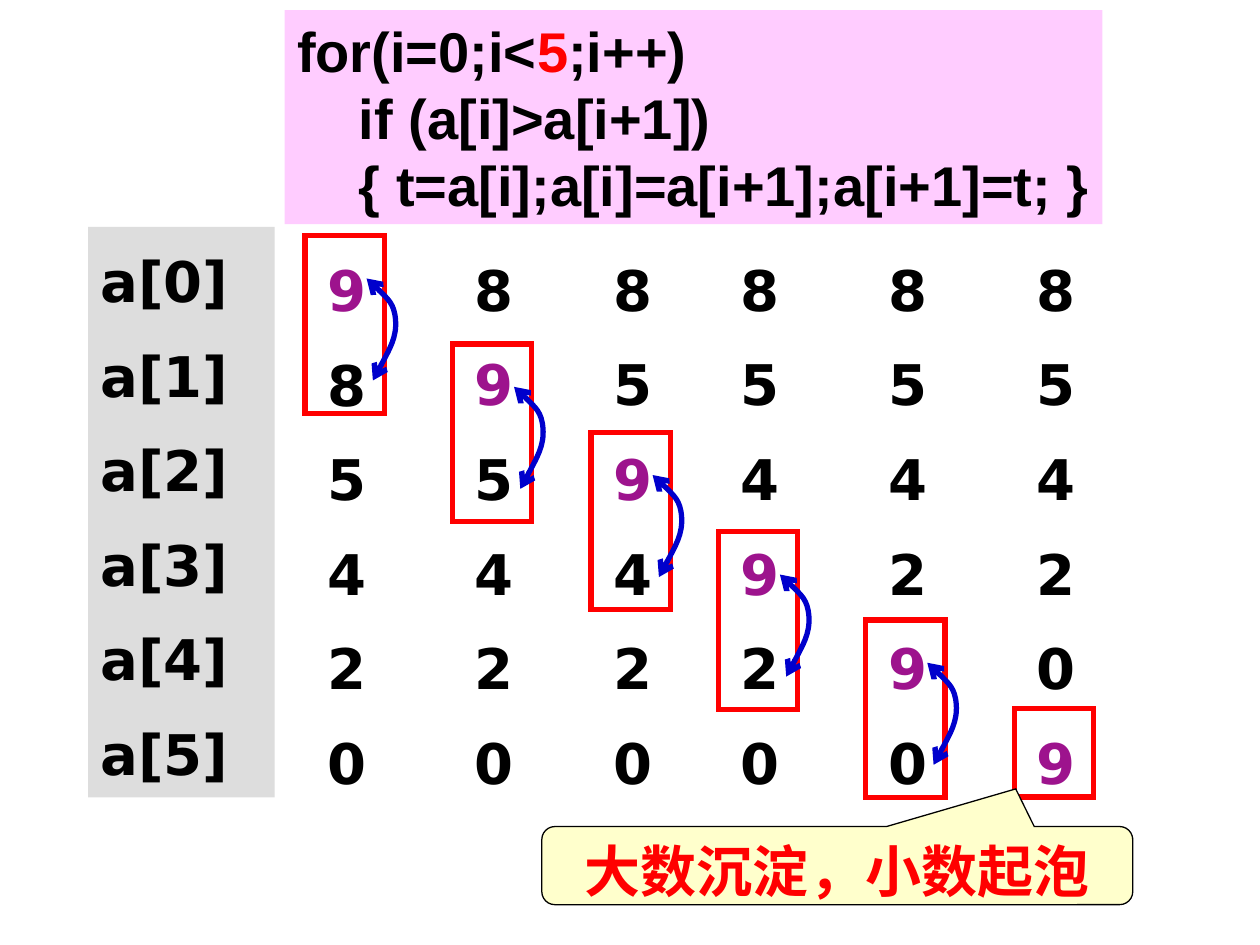
from pptx import Presentation
from pptx.dml.color import RGBColor
from pptx.enum.shapes import MSO_SHAPE
from pptx.enum.text import MSO_ANCHOR, MSO_AUTO_SIZE, PP_ALIGN
from pptx.oxml.ns import qn
from pptx.util import Inches, Pt
from lxml import etree

RECTANGLE = MSO_SHAPE.RECTANGLE
PROCESS = MSO_SHAPE.FLOWCHART_PROCESS
CALLOUT = MSO_SHAPE.ROUNDED_RECTANGULAR_CALLOUT
LEFT, CENTER = PP_ALIGN.LEFT, PP_ALIGN.CENTER
TOP, NO_RESIZE = MSO_ANCHOR.TOP, MSO_AUTO_SIZE.NONE

THEME = {
    "ink": "000000", "bubble": "9D138D", "alert": "FF0000", "swap": "0000CC",
    "code_fill": "FFCCFF", "label_fill": "DDDDDD", "note_fill": "FFFFCC",
    "code_font": "Arial", "array_font": "DejaVu Sans",
    "size": 32, "heavy": 3, "thin": 0.75,
}

VALUES = [9, 8, 5, 4, 2, 0]
CODE = [
    (0, [("for(i=0;i<", "ink"), ("5", "alert"), (";i++)", "ink")]),
    (0.49, [("if (a[i]>a[i+1])", "ink")]),
    (0.49, [("{ t=a[i];a[i]=a[i+1];a[i+1]=t; }", "ink")]),
]
NOTE = "大数沉淀，小数起泡"

COLUMN_LEFTS = [2.5, 3.67, 4.77, 5.78, 6.95, 8.13]
FRAME_TOPS = [1.87, 2.73, 3.43, 4.22, 4.92, 5.62]
COLUMN_TOP, COLUMN_WIDTH, COLUMN_HEIGHT = 1.87, 0.78, 4.53
FRAME_SHIFT, FRAME_WIDTH, PAIR_HEIGHT = -0.08, 0.63, 1.41
SWAP_SHIFT = (0.41, 0.34)
SWAP_CURVE = [(0.05, 0.81), (0.14, 0.64), (0.24, 0.47), (0.23, 0.33),
              (0.22, 0.2), (0.11, 0.1), (0, 0)]

ARRAY_FORMAT = {"line_spacing": 1.2, "space_before": Pt(8), "alignment": LEFT}
CODE_FORMAT = {"line_spacing": 1.0, "space_before": Pt(0), "alignment": LEFT}
NOTE_FORMAT = {"space_before": Pt(0), "alignment": CENTER}
FRAME_FORMAT = {
    "margin_left": Inches(0.1), "margin_right": Inches(0.1),
    "margin_top": Inches(0.05), "margin_bottom": Inches(0.05),
    "vertical_anchor": TOP, "auto_size": NO_RESIZE,
}


def apply(target, values):
    for name, value in values.items():
        setattr(target, name, value)


def color(name):
    return RGBColor.from_string(THEME[name])


def place(shape, left, top, width, height):
    apply(shape, {"left": Inches(left), "top": Inches(top),
                  "width": Inches(width), "height": Inches(height)})


def write(shape, lines, font, para_format, hanging=0, wrap=True):
    frame = shape.text_frame
    apply(frame, {**FRAME_FORMAT, "word_wrap": wrap})
    for index, (margin, spans) in enumerate(lines):
        para = frame.paragraphs[0] if index == 0 else frame.add_paragraph()
        apply(para, para_format)
        properties = para._p.get_or_add_pPr()
        properties.set("marL", str(Inches(margin)))
        properties.set("indent", str(Inches(-hanging)))
        etree.SubElement(properties, qn("a:buNone"))
        for text, tint in spans:
            span = para.add_run()
            span.text = text
            apply(span.font, {"name": THEME[font], "size": Pt(THEME["size"]), "bold": True})
            span.font.color.rgb = color(tint)


def style(shape, fill=None, line=None, weight="heavy"):
    shape.shadow.inherit = False
    if fill:
        shape.fill.solid()
        shape.fill.fore_color.rgb = color(fill)
    else:
        shape.fill.background()
    if line:
        shape.line.color.rgb = color(line)
        shape.line.width = Pt(THEME[weight])
        etree.SubElement(shape.line._get_or_add_ln(), qn("a:miter"), lim="800000")
    else:
        shape.line.fill.background()


def add_block(page, kind, area, **look):
    shape = page.shapes.add_shape(kind, *map(Inches, area))
    style(shape, **look)
    return shape


def add_swap_arrow(page, left, top):
    points = [(Inches(left + x), Inches(top + y)) for x, y in SWAP_CURVE]
    builder = page.shapes.build_freeform(*points[0], scale=1.0)
    builder.add_line_segments(points[1:], close=False)
    arrow = builder.convert_to_shape()
    style(arrow, line="swap")
    segments = list(arrow._element.iter(qn("a:lnTo")))
    outline = segments[0].getparent()
    for start in range(0, len(segments), 3):
        curve = etree.SubElement(outline, qn("a:cubicBezTo"))
        for segment in segments[start:start + 3]:
            curve.append(segment[0])
            outline.remove(segment)
    for end in ("a:headEnd", "a:tailEnd"):
        etree.SubElement(arrow.line._get_or_add_ln(), qn(end), type="arrow")


def add_column(page, body, step):
    left = COLUMN_LEFTS[step]
    column = VALUES[1:step + 1] + VALUES[:1] + VALUES[step + 1:]
    lines = [(0.38, [(str(value), "bubble" if row == step else "ink")])
             for row, value in enumerate(column)]
    box = body if step == 0 else page.shapes.add_textbox(0, 0, 0, 0)
    place(box, left, COLUMN_TOP, COLUMN_WIDTH, COLUMN_HEIGHT)
    write(box, lines, "array_font", ARRAY_FORMAT, hanging=0.38)

    swaps = step < len(VALUES) - 1
    height = PAIR_HEIGHT if swaps else PAIR_HEIGHT / 2
    top = FRAME_TOPS[step]
    add_block(page, PROCESS, (left + FRAME_SHIFT, top, FRAME_WIDTH, height), line="alert")
    if swaps:
        add_swap_arrow(page, left + SWAP_SHIFT[0], top + SWAP_SHIFT[1])


def main():
    deck = Presentation()
    apply(deck, {"slide_width": Inches(10), "slide_height": Inches(7.5)})
    page = deck.slides.add_slide(deck.slide_layouts[1])
    title, body = page.placeholders
    title._element.getparent().remove(title._element)

    for step in range(len(VALUES)):
        add_column(page, body, step)

    note = add_block(page, CALLOUT, (4.3, 6.56, 4.69, 0.62),
                     fill="note_fill", line="ink", weight="thin")
    for index, value in enumerate((0.302, -0.982, 0.167)):
        note.adjustments[index] = value
    write(note, [(0, [(NOTE, "alert")])], "code_font", NOTE_FORMAT)

    labels = add_block(page, RECTANGLE, (0.7, 1.8, 1.48, COLUMN_HEIGHT), fill="label_fill")
    names = [(0.38, [(f"a[{row}]", "ink")]) for row in range(len(VALUES))]
    write(labels, names, "array_font", ARRAY_FORMAT, hanging=0.38)

    code = add_block(page, RECTANGLE, (2.26, 0.08, 6.49, 1.7), fill="code_fill")
    write(code, CODE, "code_font", CODE_FORMAT, wrap=False)

    deck.save("out.pptx")


if __name__ == "__main__":
    main()
